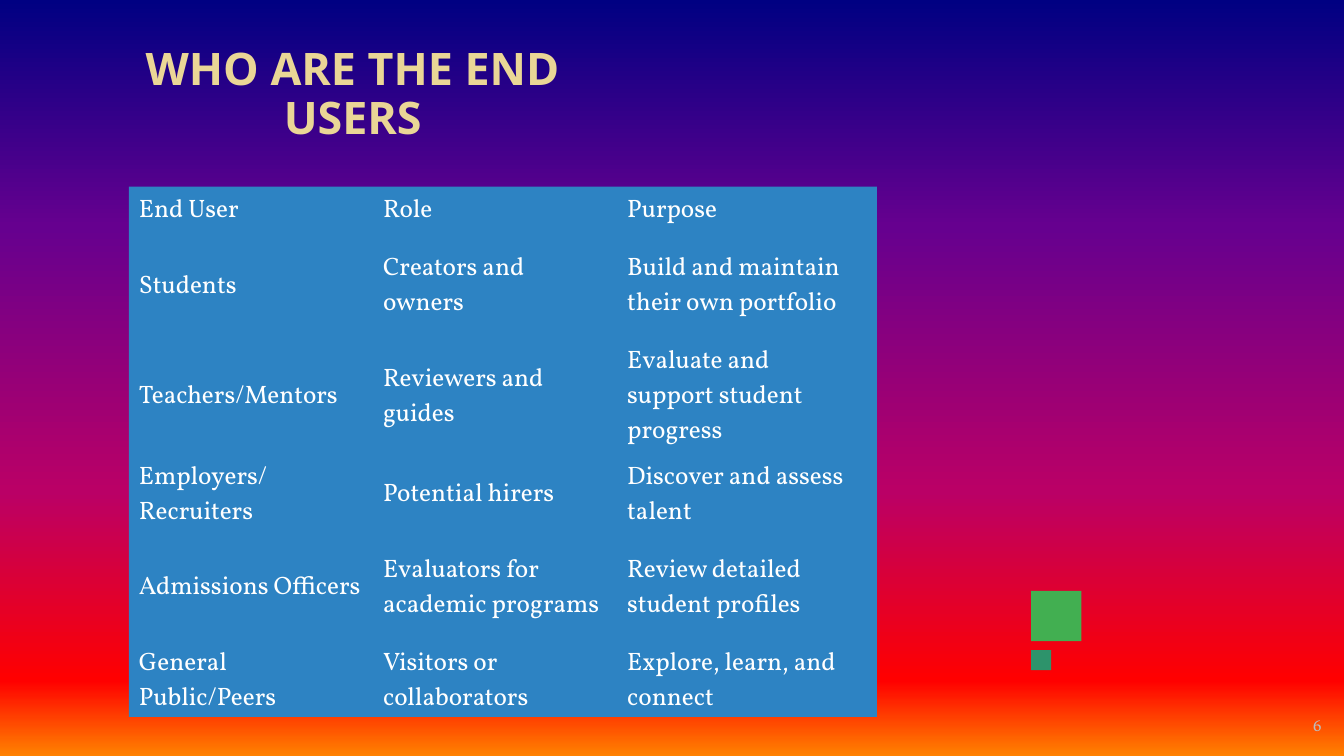
from copy import deepcopy
from dataclasses import dataclass

from pptx import Presentation, util as u
from pptx.dml.color import RGBColor as Rgb
from pptx.enum import shapes as sh, text as tx


@dataclass(frozen=True)
class Theme:
    sky: tuple = ((0, "000082"), (30, "66008F"), (65, "BA0066"),
                  (90, "FF0000"), (100, "FF8200"))
    gold: str = "EAD696"
    white: str = "FFFFFF"
    grey: str = "BDBDBD"
    blue: str = "2D83C3"
    green: str = "42AF51"
    teal: str = "2D936B"
    head: str = "Open Sans"
    body: str = "Vollkorn"
    big: int = 32
    mid: int = 18
    small: int = 12
    plain: str = "{2D5ABB26-0587-4C30-8999-92F81FD0307C}"


class Deck:
    """Draws styled elements on the current slide, with lengths in points."""

    def __init__(self, theme):
        self.theme = theme
        self.prs = Presentation()
        self.prs.slide_width, self.prs.slide_height = u.Pt(960), u.Pt(540)
        self.slide = self.prs.slides.add_slide(self.prs.slide_layouts[5])

    def sky(self):
        fill = self.slide.background.fill
        fill.gradient()
        fill.gradient_angle = 270
        stops = self.slide.background._cSld.xpath(".//a:gsLst")[0]
        for _ in self.theme.sky[2:]:
            stops.append(deepcopy(stops[0]))
        for stop, (pos, color) in zip(fill.gradient_stops, self.theme.sky):
            stop.position = pos / 100
            stop.color.rgb = Rgb.from_string(color)

    def font(self, para, name, size, color, bold=False):
        font = para.font
        font.name, font.size, font.bold = name, u.Pt(size), bold
        font.color.rgb = Rgb.from_string(color)

    def frame(self, shape, words, anchor, align, top):
        frame = shape.text_frame
        frame.text = words
        frame.word_wrap = True
        frame.auto_size = tx.MSO_AUTO_SIZE.NONE
        frame.vertical_anchor = anchor
        frame.margin_left = frame.margin_right = frame.margin_bottom = 0
        frame.margin_top = u.Pt(top)
        para = frame.paragraphs[0]
        para.alignment = align
        return para

    def title(self, words, x, y, w, h):
        shape = self.slide.shapes.title
        shape.left, shape.top, shape.width, shape.height = map(u.Pt, (x, y, w, h))
        para = self.frame(shape, words, tx.MSO_ANCHOR.MIDDLE, tx.PP_ALIGN.CENTER, 1.4)
        para.line_spacing = 0.9
        para.space_before = u.Pt(1.3)
        self.font(para, self.theme.head, self.theme.big, self.theme.gold, True)

    def number(self, words, x, y, w, h):
        shape = self.slide.shapes.add_textbox(*map(u.Pt, (x, y, w, h)))
        para = self.frame(shape, words, tx.MSO_ANCHOR.BOTTOM, tx.PP_ALIGN.RIGHT, 0.7)
        self.font(para, self.theme.body, self.theme.small, self.theme.grey)

    def block(self, color, x, y, w, h):
        shape = self.slide.shapes.add_shape(
            sh.MSO_SHAPE.RECTANGLE, *map(u.Pt, (x, y, w, h)))
        shape.shadow.inherit = False
        shape.fill.solid()
        shape.fill.fore_color.rgb = Rgb.from_string(color)
        shape.line.fill.background()

    def table(self, rows, highs, x, y, wide):
        count = len(rows[0])
        table = self.slide.shapes.add_table(
            len(rows), count, *map(u.Pt, (x, y, wide * count, sum(highs)))).table
        table.first_row = table.horz_banding = False
        table._tbl.xpath(".//a:tableStyleId")[0].text = self.theme.plain
        for col in table.columns:
            col.width = u.Pt(wide)
        for row, high, line in zip(table.rows, highs, rows):
            row.height = u.Pt(high)
            for cell, words in zip(row.cells, line):
                cell.text = words
                cell.fill.background()
                cell.vertical_anchor = tx.MSO_ANCHOR.MIDDLE
                self.font(cell.text_frame.paragraphs[0], self.theme.body,
                          self.theme.mid, self.theme.white)


USERS = (
    ("End User", "Role", "Purpose"),
    ("Students", "Creators and owners", "Build and maintain their own portfolio"),
    ("Teachers/Mentors", "Reviewers and guides",
     "Evaluate and support student progress"),
    ("Employers/Recruiters", "Potential hirers", "Discover and assess talent"),
    ("Admissions Officers", "Evaluators for academic programs",
     "Review detailed student profiles"),
    ("General Public/Peers", "Visitors or collaborators",
     "Explore, learn, and connect"),
)


def main():
    theme = Theme()
    deck = Deck(theme)
    deck.sky()
    deck.block(theme.green, 736.5, 422, 36, 36)
    deck.block(theme.blue, 92, 133.3, 534.3, 378.7)
    deck.block(theme.teal, 736.5, 464.4, 14.4, 14.4)
    deck.title("WHO ARE THE END USERS", 54.7, 28, 394.6, 79.2)
    deck.number("6", 864, 509.8, 80, 15)
    deck.table(USERS, (31.7, 75.6, 75.6, 56.2, 75.6, 56.2), 92, 134.6, 174.4)
    deck.prs.save("out.pptx")


if __name__ == "__main__":
    main()
